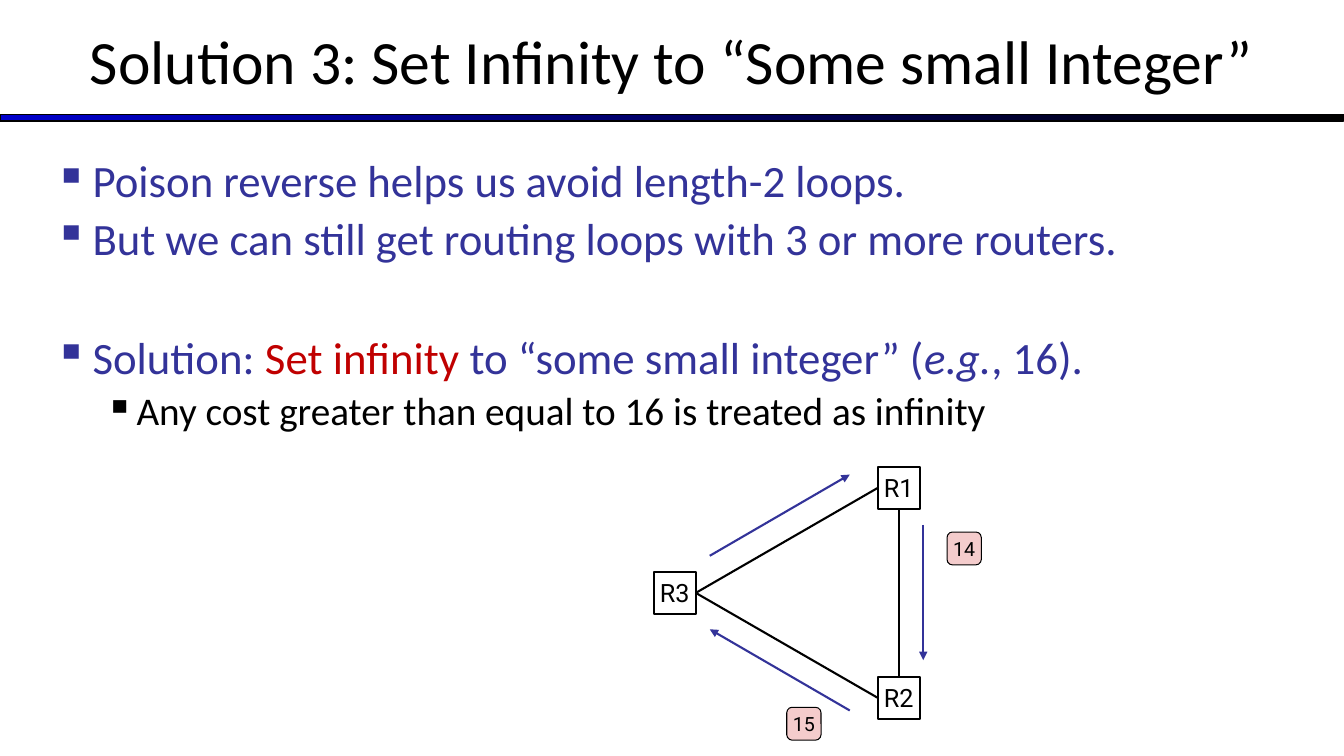
from dataclasses import dataclass

from lxml import etree
from pptx import Presentation
from pptx import util as u
from pptx.dml.color import RGBColor
from pptx.enum import shapes, text
from pptx.oxml import ns

BLACK = RGBColor(0, 0, 0)
WHITE = RGBColor(255, 255, 255)
INDIGO = RGBColor(0x33, 0x33, 0x99)
RED = RGBColor(0xC0, 0, 0)
PINK = RGBColor(0xF4, 0xCC, 0xCC)
RULE_BLUE = RGBColor(0, 0, 0xCC)
TEXT_FONT, LABEL_FONT = "Calibri", "Roboto"

BOTTOM, LEFT, RIGHT, TOP = 2, 1, 3, 0
ROUTER_SIDE = 30


@dataclass
class Phrase:
    words: str
    color: RGBColor = INDIGO
    italic: bool = False


@dataclass
class Bullet:
    phrases: list[Phrase]
    before: float
    level: int = 0


@dataclass
class Node:
    label: str
    left: float
    top: float


@dataclass
class Arrow:
    x1: float
    y1: float
    x2: float
    y2: float


# text size, left margin and hanging indent for each level
LEVELS = [(32, 27, 27), (28, 58.5, 22.5)]

BULLETS = [
    Bullet([Phrase("Poison reverse helps us avoid length-2 loops.")], 0),
    Bullet([Phrase("But we can still get routing loops with 3 or more routers.")], 6.4),
    Bullet([Phrase("Solution: "), Phrase("Set infinity ", RED),
            Phrase("to “some small integer” ("), Phrase("e.g.", italic=True),
            Phrase(", 16).")], 50.7),
    Bullet([Phrase("Any cost greater than equal to 16 is treated as infinity", BLACK)],
           5.6, 1),
]
ROUTERS = [Node("R1", 627, 333.5), Node("R2", 627, 483.5), Node("R3", 467, 408.5)]
LINKS = [("R1", BOTTOM, "R2", TOP), ("R1", LEFT, "R3", RIGHT), ("R2", LEFT, "R3", RIGHT)]
ROUTES = [Arrow(507, 397, 607, 339), Arrow(607, 507.5, 507, 449.5),
          Arrow(659.5, 375, 659.5, 471.5)]
COSTS = [Node("14", 676.5, 380), Node("15", 562, 505.2)]


def add_run(paragraph, words: str, size: float, font: str, color: RGBColor,
            italic: bool = False) -> None:
    run = paragraph.add_run()
    run.text = words
    run.font.size, run.font.name = u.Pt(size), font
    run.font.color.rgb = color
    run.font.italic = italic


def add_text_frame(slide, left: float, top: float, width: float, height: float):
    frame = slide.shapes.add_textbox(*map(u.Pt, (left, top, width, height))).text_frame
    frame.word_wrap = True
    return frame


def add_bullet_mark(paragraph, color: RGBColor, margin: float, hanging: float) -> None:
    properties = paragraph._p.get_or_add_pPr()
    properties.set("marL", str(u.Pt(margin)))
    properties.set("indent", str(-u.Pt(hanging)))
    mark_color = etree.SubElement(properties, ns.qn("a:buClr"))
    etree.SubElement(mark_color, ns.qn("a:srgbClr"), val=str(color))
    etree.SubElement(properties, ns.qn("a:buChar"), char="▪")


def add_bullets(frame, bullets: list[Bullet]) -> None:
    for index, bullet in enumerate(bullets):
        paragraph = frame.add_paragraph() if index else frame.paragraphs[0]
        size, margin, hanging = LEVELS[bullet.level]
        add_bullet_mark(paragraph, bullet.phrases[0].color, margin, hanging)
        paragraph.level = bullet.level
        paragraph.line_spacing = 0.9
        paragraph.space_before = u.Pt(bullet.before)
        for phrase in bullet.phrases:
            add_run(paragraph, phrase.words, size, TEXT_FONT, phrase.color, phrase.italic)


def add_box(slide, node: Node, kind, width: float, height: float, fill: RGBColor,
            line: float, size: float, inset: float):
    box = slide.shapes.add_shape(kind, *map(u.Pt, (node.left, node.top, width, height)))
    box.shadow.inherit = False
    box.fill.solid()
    box.fill.fore_color.rgb = fill
    box.line.color.rgb, box.line.width = BLACK, u.Pt(line)
    frame = box.text_frame
    frame.margin_left = frame.margin_right = u.Pt(inset)
    frame.margin_top = frame.margin_bottom = u.Pt(inset)
    frame.vertical_anchor = text.MSO_ANCHOR.MIDDLE
    frame.word_wrap = False
    frame.paragraphs[0].alignment = text.PP_ALIGN.CENTER
    add_run(frame.paragraphs[0], node.label, size, LABEL_FONT, BLACK)
    return box


def add_line(slide, ends: Arrow, color: RGBColor):
    line = slide.shapes.add_connector(
        shapes.MSO_CONNECTOR.STRAIGHT,
        *map(u.Pt, (ends.x1, ends.y1, ends.x2, ends.y2)))
    line.line.color.rgb, line.line.width = color, u.Pt(1.5)
    etree.SubElement(line._element.spPr, ns.qn("a:effectLst"))
    return line


def add_title_rule(slide) -> None:
    rule = slide.shapes.add_shape(shapes.MSO_SHAPE.RECTANGLE,
                                  *map(u.Pt, (0, 81.5, 960, 5)))
    rule.shadow.inherit = False
    rule.fill.gradient()
    rule.fill.gradient_angle = 0
    for stop, position, color in zip(rule.fill.gradient_stops, (0, 1), (RULE_BLUE, BLACK)):
        stop.position, stop.color.rgb = position, color
    rule.line.color.rgb, rule.line.width = BLACK, u.Pt(0.75)


def add_network(slide) -> None:
    routers = {node.label: add_box(slide, node, shapes.MSO_SHAPE.RECTANGLE, ROUTER_SIDE,
                                   ROUTER_SIDE, WHITE, 1.5, 18, 0)
               for node in ROUTERS}
    for start, start_side, end, end_side in LINKS:
        link = add_line(slide, Arrow(0, 0, 0, 0), BLACK)
        link.begin_connect(routers[start], start_side)
        link.end_connect(routers[end], end_side)
    for route in ROUTES:
        arrow = add_line(slide, route, INDIGO)
        etree.SubElement(arrow.line._get_or_add_ln(), ns.qn("a:tailEnd"), type="triangle")
    for cost in COSTS:
        add_box(slide, cost, shapes.MSO_SHAPE.ROUNDED_RECTANGLE, 24.5, 23.5, PINK,
                0.75, 14, 2.9)


def main() -> None:
    deck = Presentation()
    deck.slide_width, deck.slide_height = u.Pt(960), u.Pt(540)
    slide = deck.slides.add_slide(deck.slide_layouts[6])
    add_title_rule(slide)

    title = add_text_frame(slide, 0, -2, 960, 90)
    title.vertical_anchor = text.MSO_ANCHOR.MIDDLE
    title.paragraphs[0].alignment = text.PP_ALIGN.CENTER
    add_run(title.paragraphs[0], "Solution 3: Set Infinity to “Some small Integer”",
            44, TEXT_FONT, BLACK)

    add_bullets(add_text_frame(slide, 32, 110, 892, 418), BULLETS)
    add_network(slide)
    deck.save("out.pptx")


if __name__ == "__main__":
    main()
